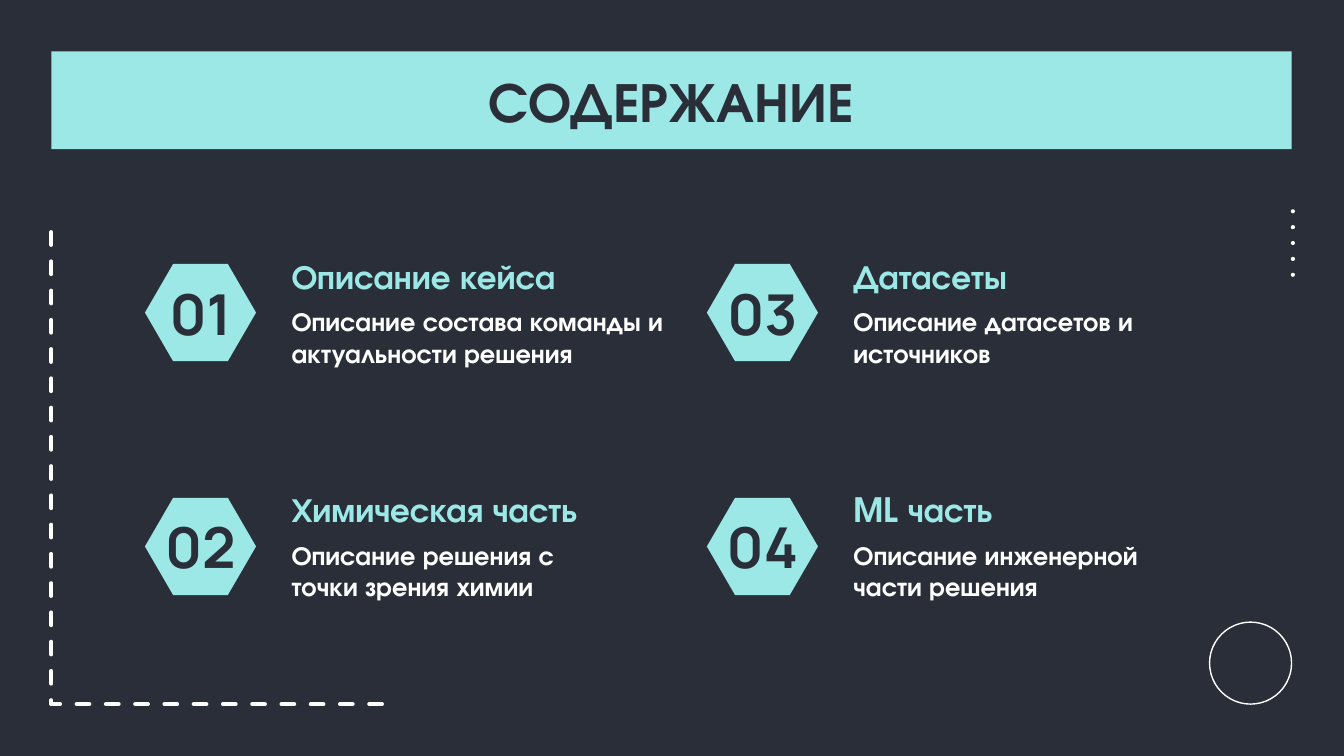
from dataclasses import dataclass

from lxml import etree
from pptx import Presentation
from pptx import util as u
from pptx.dml.color import RGBColor
from pptx.enum import dml, shapes, text


@dataclass(frozen=True)
class Theme:
    dark: RGBColor = RGBColor.from_string("2A2E38")
    aqua: RGBColor = RGBColor.from_string("9CE8E7")
    white: RGBColor = RGBColor.from_string("FFFFFF")
    text_font: str = "TeX Gyre Adventor"
    number_font: str = "Manrope"
    title_size: float = 30
    number_size: float = 30.2
    heading_size: float = 18
    body_size: float = 14
    thin_line: float = 0.75
    dash_line: float = 2.25


class SlideBuilder:
    def __init__(self, page, theme):
        self.page = page
        self.theme = theme
        page.background.fill.solid()
        page.background.fill.fore_color.rgb = theme.dark

    def paint(self, shape, fill=None, line=None, width=None):
        shape.shadow.inherit = False
        if fill is None:
            shape.fill.background()
        else:
            shape.fill.solid()
            shape.fill.fore_color.rgb = fill
        if line is None:
            shape.line.fill.background()
        else:
            shape.line.color.rgb = line
            shape.line.width = u.Pt(width)

    def shape(self, kind, left, top, width, height, fill=None, line=None):
        shape = self.page.shapes.add_shape(
            kind, u.Cm(left), u.Cm(top), u.Cm(width), u.Cm(height))
        self.paint(shape, fill, line, self.theme.thin_line)
        return shape

    def hexagon(self, left, top, width, height):
        shape = self.shape(shapes.MSO_SHAPE.HEXAGON, left, top, width, height,
                           fill=self.theme.aqua)
        shape.adjustments[0] = 0.29

    def dashed_path(self, points):
        start, *rest = [(u.Cm(x), u.Cm(y)) for x, y in points]
        builder = self.page.shapes.build_freeform(*start)
        builder.add_line_segments(rest, close=False)
        shape = builder.convert_to_shape()
        self.paint(shape, line=self.theme.white, width=self.theme.dash_line)
        shape.line.dash_style = dml.MSO_LINE.DASH
        outline = shape.line._ln
        outline.set("cap", "rnd")
        etree.SubElement(outline, outline.tag.replace("}ln", "}round"))

    def add_text(self, box, content, size, color, font=None, centred=False):
        frame = box.text_frame
        frame.word_wrap = True
        frame.vertical_anchor = text.MSO_ANCHOR.MIDDLE
        frame.margin_left = frame.margin_right = u.Cm(0.25)
        frame.margin_top = frame.margin_bottom = u.Cm(0.25)
        para = frame.paragraphs[0]
        para.alignment = text.PP_ALIGN.CENTER if centred else text.PP_ALIGN.LEFT
        span = para.add_run()
        span.text = content
        span.font.name = font or self.theme.text_font
        span.font.size = u.Pt(size)
        span.font.bold = True
        span.font.color.rgb = color

    def label(self, left, top, width, height, *style, **options):
        box = self.page.shapes.add_textbox(
            u.Cm(left), u.Cm(top), u.Cm(width), u.Cm(height))
        self.add_text(box, *style, **options)


SECTIONS = [
    # number, heading, description, description width
    ("01", "Описание кейса", "Описание состава команды и актуальности решения", 7.92),
    ("02", "Химическая часть", "Описание решения с точки зрения химии", 6.78),
    ("03", "Датасеты", "Описание датасетов и источников", 6.78),
    ("04", "ML часть", "Описание инженерной части решения", 6.78),
]


def main():
    deck = Presentation()
    deck.slide_width, deck.slide_height = u.Cm(25.4), u.Cm(14.29)
    theme = Theme()
    slide = SlideBuilder(deck.slides.add_slide(deck.slide_layouts[6]), theme)
    margin, right, bottom = 0.97, 24.41, 13.31

    # Decoration: circle, dashed corner, column of dots
    circle = 1.55
    slide.shape(shapes.MSO_SHAPE.OVAL, right - circle, bottom - circle,
                circle, circle, line=theme.white)
    slide.dashed_path([(margin, 4.39), (margin, bottom), (7.42, bottom)])
    for index in range(5):
        slide.shape(shapes.MSO_SHAPE.OVAL, right, 3.97 + 0.3 * index, 0.05, 0.05,
                    fill=theme.white, line=theme.white)

    # Title bar
    bar = slide.shape(shapes.MSO_SHAPE.RECTANGLE, margin, margin,
                      right - margin, 1.85, fill=theme.aqua)
    slide.add_text(bar, "СОДЕРЖАНИЕ", theme.title_size, theme.dark, centred=True)

    # Sections, filled column by column
    for index, (number, heading, description, width) in enumerate(SECTIONS):
        column, row = divmod(index, 2)
        left, top = 2.74 + 10.62 * column, 4.99 + 4.42 * row
        slide.hexagon(left, top, 2.1, 1.84)
        slide.label(left, top + 0.37, 2.1, 1.1, number, theme.number_size,
                    theme.dark, font=theme.number_font, centred=True)
        slide.label(left + 2.52, top - 0.2, 6.78, 0.84, heading,
                    theme.heading_size, theme.aqua)
        slide.label(left + 2.52, top + 0.81, width, 1.14, description,
                    theme.body_size, theme.white)

    deck.save("out.pptx")


if __name__ == "__main__":
    main()
